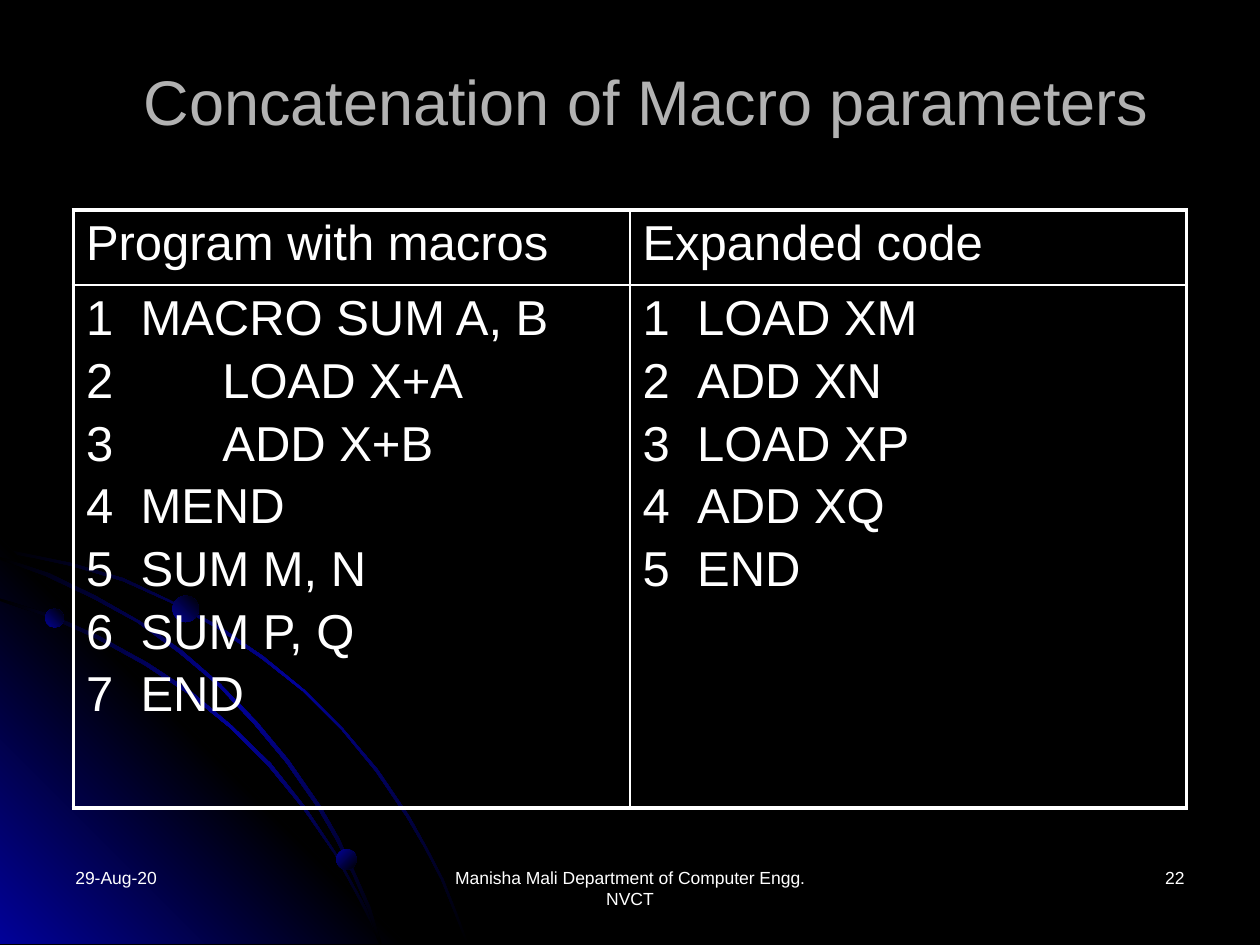
from dataclasses import dataclass

from lxml import etree
from pptx import Presentation
from pptx.dml.color import RGBColor
from pptx.enum.shapes import MSO_SHAPE
from pptx.enum.text import MSO_ANCHOR, PP_ALIGN
from pptx.oxml.ns import qn
from pptx.util import Cm, Pt

OVAL = MSO_SHAPE.OVAL
TOP, MIDDLE = MSO_ANCHOR.TOP, MSO_ANCHOR.MIDDLE
LEFT, CENTER, RIGHT = PP_ALIGN.LEFT, PP_ALIGN.CENTER, PP_ALIGN.RIGHT


@dataclass(frozen=True)
class Theme:
    """Colours, type sizes and line widths of the slide."""
    font: str = "Arial"
    black: str = "000000"
    blue: str = "010199"
    white: str = "FFFFFF"
    grey: str = "B2B2B2"
    title_size: float = 36
    code_size: float = 28
    footer_size: float = 10
    code_gap: float = 4.6
    outer_line: float = 2.25
    inner_line: float = 1


THEME = Theme()
BAND = (THEME.black, THEME.blue, THEME.black)
GLOW = (THEME.blue, THEME.black, THEME.blue)
BALL = (THEME.blue, THEME.black)

POINT_UNIT = Cm(0.0254)
OUTER_ARC = [
    (57, 447), (28, 441), (0, 435), (0, 438), (28, 443), (56, 449), (97, 461),
    (135, 478), (173, 499), (208, 523), (241, 549), (271, 579), (298, 612),
    (323, 649), (337, 673), (350, 698), (360, 723), (370, 749), (372, 749),
    (362, 723), (352, 698), (339, 673), (325, 648), (300, 611), (272, 578),
    (242, 548), (209, 521), (174, 497), (136, 477), (98, 459)]
CORNER = [(322, 749), (0, 749), (0, 427)]
LOWER_ARC = [
    (285, 714), (294, 732), (301, 749), (303, 749), (296, 730), (286, 712),
    (266, 676), (242, 640), (215, 606), (184, 576), (152, 549), (117, 526),
    (79, 505), (41, 488), (0, 475), (0, 477), (39, 490), (77, 507), (115, 528),
    (150, 551), (183, 578), (213, 608), (240, 641), (265, 677)]
MIDDLE_ARC = [
    (0, 442), (0, 444), (36, 457), (74, 475), (109, 494), (142, 518),
    (173, 544), (202, 575), (227, 605), (252, 641), (267, 667), (280, 694),
    (292, 722), (301, 749), (303, 749), (294, 720), (282, 693), (269, 665),
    (254, 639), (229, 603), (204, 573), (175, 543), (144, 516), (111, 493),
    (76, 473), (39, 455)]
OUTLINES = [(OUTER_ARC, BAND, 45), (CORNER, GLOW, 315),
            (LOWER_ARC, BAND, 45), (MIDDLE_ARC, BAND, 45)]
BALLS = [(0.91, 12.27, 0.38, 315), (6.78, 17.12, 0.41, 45),
         (3.48, 12.01, 0.53, 315)]

LABELS = [
    ("Manisha Mali Department of Computer Engg. NVCT", (8.68, 17.36, 8.04, 1.27),
     THEME.footer_size, THEME.white, CENTER, TOP),
    ("22", (18.2, 17.36, 5.93, 1.27),
     THEME.footer_size, THEME.white, RIGHT, TOP),
    ("Concatenation of Macro parameters", (0.64, 0.85, 24.77, 2.33),
     THEME.title_size, THEME.grey, CENTER, MIDDLE),
    ("29-Aug-20", (1.27, 17.36, 5.93, 1.27),
     THEME.footer_size, THEME.white, LEFT, TOP),
]

TABLE_AREA = (1.48, 4.23, 22.44, 12.06)
ROW_HEIGHTS = (1.52, 10.54)
TAB_STOPS = (1.1, 2.75)
CODE_ROWS = [
    (["Program with macros"], ["Expanded code"]),
    (["1\tMACRO SUM A, B", "2\t\tLOAD X+A", "3\t\tADD X+B", "4\tMEND",
      "5\tSUM M, N", "6\tSUM P, Q", "7\tEND"],
     ["1\tLOAD XM", "2\tADD XN", "3\tLOAD XP", "4\tADD XQ", "5\tEND"]),
]


def set_values(target, values):
    """Set each named attribute of the target."""
    for name, value in values.items():
        setattr(target, name, value)


def lengths(values):
    """Turn centimetre numbers into lengths."""
    return [Cm(value) for value in values]


def add_span(para, text, size, color):
    """Add one formatted span to a paragraph."""
    span = para.add_run()
    span.text = text
    set_values(span.font, {"name": THEME.font, "size": Pt(size)})
    span.font.color.rgb = RGBColor.from_string(color)


def paint_gradient(shape, colors, angle):
    """Fill a shape with evenly spaced colours, without line or shadow."""
    shape.shadow.inherit = False
    shape.line.fill.background()
    shape.fill.gradient()
    shape.fill.gradient_angle = 360 - angle
    stops = shape._element.spPr.find(".//" + qn("a:gsLst"))
    for stop in list(stops):
        stops.remove(stop)
    for index, color in enumerate(colors):
        position = 100000 * index // (len(colors) - 1)
        stop = etree.SubElement(stops, qn("a:gs"), pos=str(position))
        etree.SubElement(stop, qn("a:srgbClr"), val=color)


def add_outline(page, points, colors, angle):
    """Add a closed outline with a gradient."""
    builder = page.shapes.build_freeform(*points[0], scale=POINT_UNIT)
    builder.add_line_segments(points[1:], close=True)
    paint_gradient(builder.convert_to_shape(), colors, angle)


def add_ball(page, left, top, size, angle):
    """Add a shaded ball."""
    ball = page.shapes.add_shape(OVAL, *lengths((left, top, size, size)))
    paint_gradient(ball, BALL, angle)


def add_label(page, text, area, size, color, alignment, anchor):
    """Add a text box with one paragraph."""
    frame = page.shapes.add_textbox(*lengths(area)).text_frame
    set_values(frame, {"word_wrap": True, "vertical_anchor": anchor})
    para = frame.paragraphs[0]
    para.alignment = alignment
    add_span(para, text, size, color)


def add_tab_stops(para):
    """Give a paragraph the tab stops of the code columns."""
    stops = etree.SubElement(para._p.get_or_add_pPr(), qn("a:tabLst"))
    for stop in TAB_STOPS:
        etree.SubElement(stops, qn("a:tab"), pos=str(Cm(stop)), algn="l")


def add_borders(cell, outer_sides):
    """Draw cell borders, heavier on the outer sides."""
    properties = cell._tc.get_or_add_tcPr()
    for side in "LRTB":
        width = THEME.outer_line if side in outer_sides else THEME.inner_line
        line = etree.SubElement(properties, qn("a:ln" + side), w=str(Pt(width)))
        fill = etree.SubElement(line, qn("a:solidFill"))
        etree.SubElement(fill, qn("a:srgbClr"), val=THEME.white)


def fill_cell(cell, lines, outer_sides):
    """Write the lines of code into a bordered clear cell."""
    add_borders(cell, outer_sides)
    cell.fill.background()
    frame = cell.text_frame
    for index, line in enumerate(lines):
        para = frame.add_paragraph() if index else frame.paragraphs[0]
        para.space_before = Pt(THEME.code_gap if index else 0)
        add_tab_stops(para)
        add_span(para, line, THEME.code_size, THEME.white)


def add_code_table(page):
    """Add the table of macro code and its expansion."""
    table = page.shapes.add_table(2, 2, *lengths(TABLE_AREA)).table
    set_values(table, {"first_row": False, "horz_banding": False})
    for row, height in zip(table.rows, ROW_HEIGHTS):
        row.height = Cm(height)
    for row, texts in enumerate(CODE_ROWS):
        for column, lines in enumerate(texts):
            fill_cell(table.cell(row, column), lines, "TB"[row] + "LR"[column])


def main():
    """Build and save the slide."""
    deck = Presentation()
    set_values(deck, {"slide_width": Cm(25.4), "slide_height": Cm(19.05)})
    page = deck.slides.add_slide(deck.slide_layouts[6])
    page.background.fill.solid()
    page.background.fill.fore_color.rgb = RGBColor.from_string(THEME.black)
    for outline in OUTLINES:
        add_outline(page, *outline)
    for ball in BALLS:
        add_ball(page, *ball)
    add_code_table(page)
    for label in LABELS:
        add_label(page, *label)
    deck.save("out.pptx")


main()
